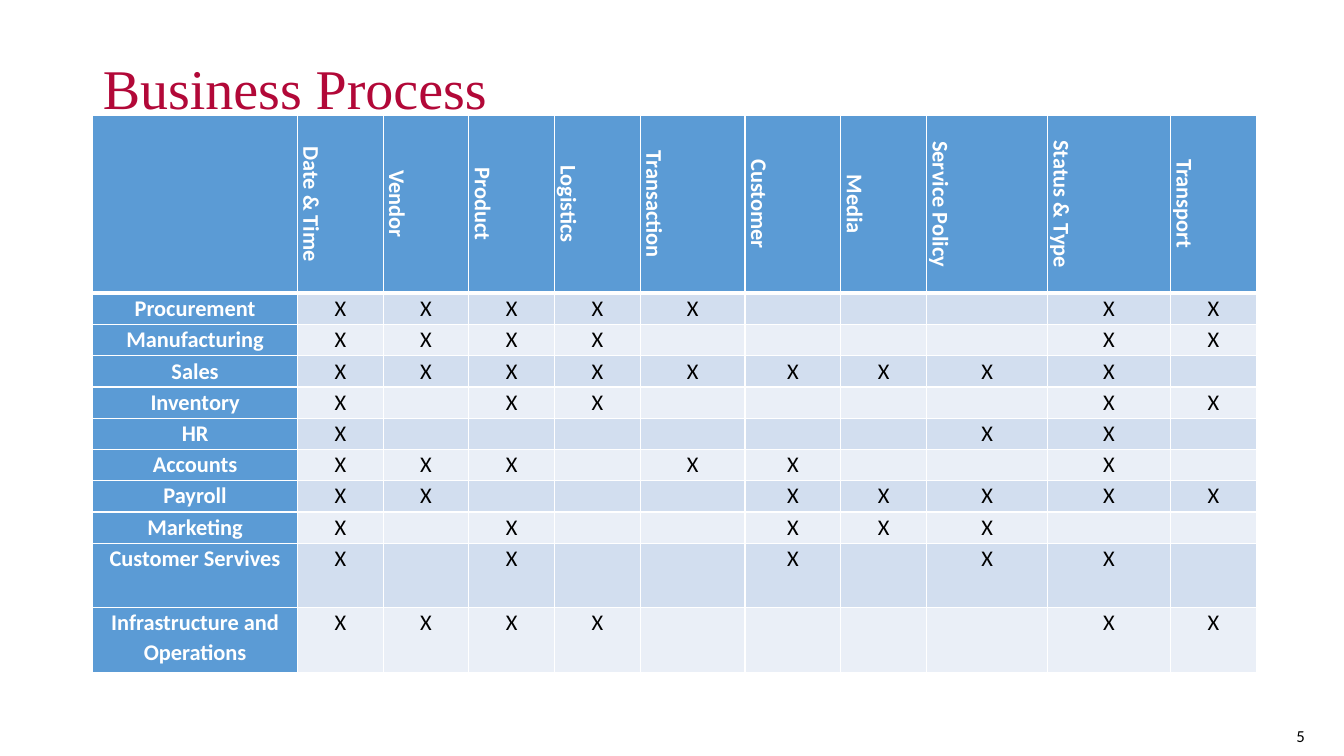
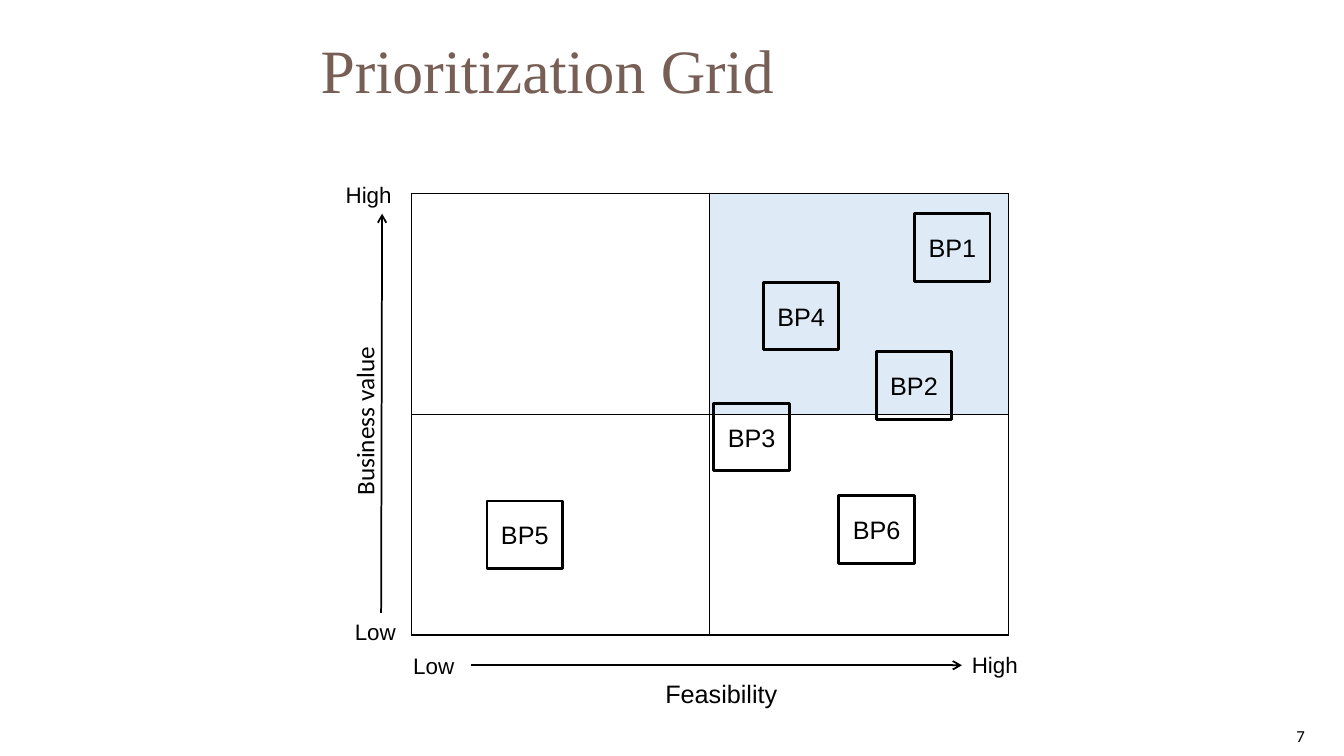
from lxml import etree
from pptx import Presentation
from pptx import util as u
from pptx.dml import color
from pptx.enum import shapes, text
from pptx.oxml import ns

BLACK, WHITE = "000000", "FFFFFF"
CRIMSON, BROWN = "B20838", "775F55"
HEADER_BLUE, BANDS = "5B9BD5", ("D2DEEF", "EAEFF7")
FAVOURED = "DEEBF7"
LEFT, CENTER, RIGHT = text.PP_ALIGN.LEFT, text.PP_ALIGN.CENTER, text.PP_ALIGN.RIGHT
TOP, MIDDLE = text.MSO_ANCHOR.TOP, text.MSO_ANCHOR.MIDDLE

TITLE = {"name": "Times New Roman", "size": u.Pt(40)}
NUMBER = {"name": "Calibri", "size": u.Pt(12)}
CELL = {"name": "Calibri", "size": u.Pt(16), "bold": False}
HEADING = {**CELL, "bold": True}
AXIS_END = {"name": "Arial", "size": u.Pt(16)}
AXIS_NAME = {"name": "Arial", "size": u.Pt(18)}
CELL_MARGINS = {"margin_left": u.Inches(0.07), "margin_right": u.Inches(0.07),
                "margin_top": 0, "margin_bottom": 0}

SUBJECTS = ["Date & Time", "Vendor", "Product", "Logistics", "Transaction", "Customer",
            "Media", "Service Policy", "Status & Type", "Transport"]
USAGE = {  # one mark per subject, in the order of SUBJECTS
    "Procurement": "XXXXX...XX",
    "Manufacturing": "XXXX....XX",
    "Sales": "XXXXXXXXX.",
    "Inventory": "X.XX....XX",
    "HR": "X......XX.",
    "Accounts": "XXX.XX..X.",
    "Payroll": "XX...XXXXX",
    "Marketing": "X.X..XXX..",
    "Customer Servives": "X.X..X.XX.",
    "Infrastructure and Operations": "XXXX....XX",
}
MATRIX_COLUMNS = [2.03, 0.85, 0.85, 0.85, 0.85, 1.04, 0.95, 0.85, 1.2, 1.22, 0.85]
MATRIX_ROWS = [1.77] + [0.31] * 8 + [0.64] * 2

PROCESSES = {"BP2": (8.69, 3.49), "BP1": (9.07, 2.12), "BP4": (7.57, 2.8),
             "BP3": (7.08, 4), "BP5": (4.83, 4.97), "BP6": (8.32, 4.92)}


def rgb(hex_colour):
    """Turn a hex string into a colour value."""
    return color.RGBColor.from_string(hex_colour)


def apply(target, values):
    """Set every attribute named in values on target."""
    for name, value in values.items():
        setattr(target, name, value)


def inches(*lengths):
    """Convert several lengths to inches."""
    return [u.Inches(length) for length in lengths]


def write(frame, words, font, colour=BLACK, align=LEFT, spacing=None):
    """Write one formatted paragraph into a text frame."""
    paragraph = frame.paragraphs[0]
    apply(paragraph, {"alignment": align, "line_spacing": spacing})
    run = paragraph.add_run()
    run.text = words
    apply(run.font, font)
    run.font.color.rgb = rgb(colour)


def add_label(slide, words, box, font, align=LEFT, anchor=TOP, wrap=True, rotation=0):
    """Add a text box at box (left, top, width, height)."""
    label = slide.shapes.add_textbox(*inches(*box))
    label.rotation = rotation
    apply(label.text_frame, {"word_wrap": wrap, "vertical_anchor": anchor})
    write(label.text_frame, words, font, align=align)


def add_titled_slide(deck, words, box, font, colour, number, spacing=None):
    """Add a slide with its title and page number."""
    slide = deck.slides.add_slide(deck.slide_layouts[5])
    title = slide.shapes.title
    apply(title, dict(zip(("left", "top", "width", "height"), inches(*box))))
    apply(title.text_frame, {"vertical_anchor": MIDDLE, "word_wrap": True,
                             "auto_size": text.MSO_AUTO_SIZE.NONE})
    write(title.text_frame, words, font, colour, spacing=spacing)
    add_label(slide, number, (12.27, 7.1, 0.77, 0.4), NUMBER, RIGHT, MIDDLE)
    return slide


def add_grid(slide, left, top, columns, rows):
    """Add an unstyled table with the given column widths and row heights."""
    box = inches(left, top, sum(columns), sum(rows))
    table = slide.shapes.add_table(len(rows), len(columns), *box).table
    apply(table, {"first_row": False, "horz_banding": False})
    for column, width in zip(table.columns, columns):
        column.width = u.Inches(width)
    for row, height in zip(table.rows, rows):
        row.height = u.Inches(height)
    return table


def style_cell(cell, border, fill=None, bottom=1, top=1):
    """Draw the four borders of a cell, then its fill."""
    properties = cell._tc.get_or_add_tcPr()
    for side, points in (("L", 1), ("R", 1), ("T", top), ("B", bottom)):
        line = etree.SubElement(properties, ns.qn(f"a:ln{side}"), w=str(u.Pt(points)))
        paint = etree.SubElement(line, ns.qn("a:solidFill"))
        etree.SubElement(paint, ns.qn("a:srgbClr"), val=border)
    if fill:
        cell.fill.solid()
        cell.fill.fore_color.rgb = rgb(fill)
    else:
        cell.fill.background()


def fill_cell(cell, words, font, colour):
    """Write centred words, or keep an empty cell as low as its row."""
    apply(cell, CELL_MARGINS)
    if words:
        write(cell.text_frame, words, font, colour, CENTER, 1.07)
    else:
        paragraph = cell.text_frame.paragraphs[0]._p
        etree.SubElement(paragraph, ns.qn("a:endParaRPr"), sz="1600")


def add_arrow(slide, start, end):
    """Add a black line with an open arrowhead at its end."""
    arrow = slide.shapes.add_connector(shapes.MSO_CONNECTOR.STRAIGHT,
                                       *inches(*start, *end))
    arrow.line.color.rgb = rgb(BLACK)
    arrow.line.width = u.Pt(1.25)
    etree.SubElement(arrow.line._get_or_add_ln(), ns.qn("a:tailEnd"), type="arrow")
    etree.SubElement(arrow._element.spPr, ns.qn("a:effectLst"))


def add_process(slide, code, left, top):
    """Add the outlined box of one business process."""
    process = slide.shapes.add_shape(shapes.MSO_SHAPE.RECTANGLE,
                                     *inches(left, top, 0.75, 0.67))
    process.shadow.inherit = False
    process.fill.background()
    process.line.color.rgb = rgb(BLACK)
    process.line.width = u.Pt(2)
    apply(process.text_frame, {"vertical_anchor": MIDDLE, "word_wrap": True})
    write(process.text_frame, code, AXIS_NAME, align=CENTER)


def add_matrix(slide):
    """Add the table of business processes against subjects."""
    matrix = add_grid(slide, 0.92, 1.14, MATRIX_COLUMNS, MATRIX_ROWS)
    lines = [["", *SUBJECTS]]
    lines += [[process, *marks.replace(".", " ")] for process, marks in USAGE.items()]
    for r, line in enumerate(lines):
        for c, words in enumerate(line):
            cell = matrix.cell(r, c)
            heading = r == 0 or c == 0
            style_cell(cell, WHITE, HEADER_BLUE if heading else BANDS[(r - 1) % 2],
                       bottom=3 if r == 0 else 1, top=3 if r == 1 else 1)
            fill_cell(cell, words.strip(), HEADING if heading else CELL,
                      WHITE if heading else BLACK)
            if r == 0 and c > 0:
                cell._tc.get_or_add_tcPr().set("vert", "vert")


def add_quadrants(slide):
    """Add the two by two grid with its favoured quadrant."""
    quadrants = add_grid(slide, 4.08, 1.92, [2.96] * 2, [2.19] * 2)
    for r in range(2):
        for c in range(2):
            style_cell(quadrants.cell(r, c), BLACK, FAVOURED if (r, c) == (0, 1) else None)


def add_axes(slide):
    """Add the arrows, end labels and names of both axes."""
    add_arrow(slide, (4.67, 6.6), (9.54, 6.6))
    add_arrow(slide, (3.78, 6.08), (3.79, 2.12))
    add_label(slide, "Feasibility", (6.5, 6.68, 1.92, 0.4), AXIS_NAME)
    for words, box in (("High", (9.54, 6.41, 0.75, 0.37)), ("Low", (4, 6.42, 0.67, 0.37)),
                       ("Low", (3.42, 6.08, 0.72, 0.37)), ("High", (3.33, 1.75, 0.92, 0.37))):
        add_label(slide, words, box, AXIS_END)
    add_label(slide, "Business value", (2.77, 3.97, 1.69, 0.4),
              {**AXIS_NAME, "name": "Calibri"}, wrap=False, rotation=270)


def main():
    """Build both slides and save the deck."""
    deck = Presentation()
    apply(deck, {"slide_width": u.Inches(13.33), "slide_height": u.Inches(7.5)})

    process_slide = add_titled_slide(deck, "Business Process", (0.92, 0.4, 11.5, 1.01),
                                     TITLE, CRIMSON, "5", spacing=0.9)
    add_matrix(process_slide)

    priority_slide = add_titled_slide(deck, "Prioritization Grid", (3.08, 0.26, 7.92, 0.84),
                                      {**TITLE, "size": u.Pt(44)}, BROWN, "7")
    add_axes(priority_slide)
    add_quadrants(priority_slide)
    for code, (left, top) in PROCESSES.items():
        add_process(priority_slide, code, left, top)

    deck.save("out.pptx")


main()
